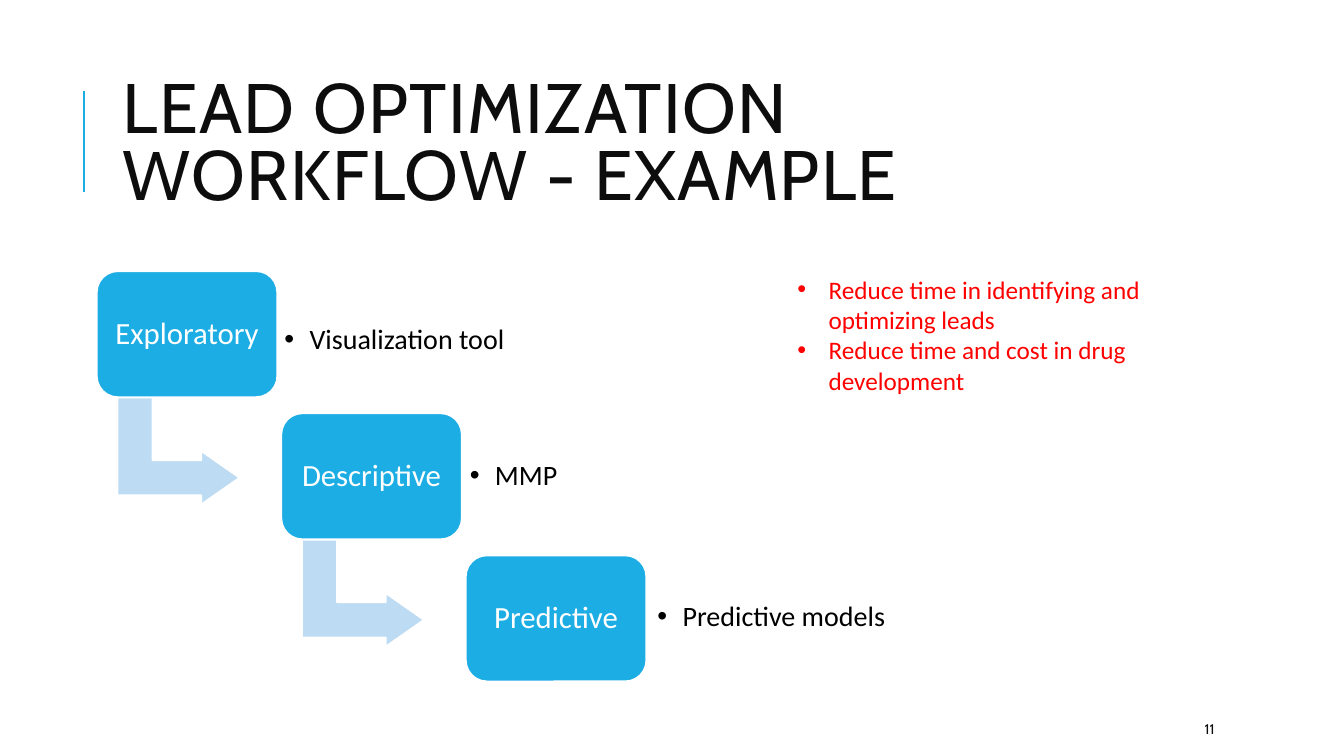
from dataclasses import dataclass

from lxml.etree import SubElement
from pptx import Presentation
from pptx.dml.color import RGBColor
from pptx.enum.shapes import MSO_CONNECTOR, MSO_SHAPE
from pptx.enum.text import MSO_ANCHOR, PP_ALIGN
from pptx.oxml.ns import qn
from pptx.util import Inches, Pt


@dataclass(frozen=True)
class Theme:
    head: str = "Cabin"
    body: str = "Calibri"
    blue: str = "1CADE4"
    pale: str = "BDDBF2"
    white: str = "FFFFFF"
    black: str = "000000"
    ink: str = "0D0D0D"
    red: str = "FF0000"
    title: int = 50
    step: int = 22
    note: int = 20
    goal: int = 18
    page: int = 10


THEME = Theme()

STEPS = [
    # label, note, note box relative to its step: left, top, width, height
    ("Exploratory", "Visualization tool", (1.78, 0.34, 2.76, 0.69)),
    ("Descriptive", "MMP", (1.79, 0.12, 1.3, 1.01)),
    ("Predictive", "Predictive models", (1.82, 0.26, 2.61, 0.71)),
]
GOALS = [
    "Reduce time in identifying and optimizing leads",
    "Reduce time and cost in drug development",
]


def color(code):
    return RGBColor.from_string(code)


def write(shape, lines, font, size, ink, space=1.0, inset=(0.1, 0.05),
          anchor=MSO_ANCHOR.MIDDLE, align=PP_ALIGN.LEFT, indent=0):
    """Fill a shape with paragraphs; a positive indent makes them bullets."""
    frame = shape.text_frame
    frame.word_wrap = True
    frame.vertical_anchor = anchor
    frame.margin_left = frame.margin_right = Inches(inset[0])
    frame.margin_top = frame.margin_bottom = Inches(inset[1])
    frame.text = "\n".join(lines)
    for para in frame.paragraphs:
        para.alignment = align
        para.line_spacing = space
        for run in para.runs:
            run.font.name = font
            run.font.size = Pt(size)
            run.font.color.rgb = color(ink)
        if indent:
            add_bullet(para, indent)


def add_bullet(para, indent):
    props = para._p.get_or_add_pPr()
    props.set("marL", str(Inches(indent)))
    props.set("indent", str(-Inches(indent)))
    SubElement(props, qn("a:buFont")).set("typeface", "Arial")
    SubElement(props, qn("a:buChar")).set("char", "•")


def add_text(slide, box, lines, *style, **more):
    shape = slide.shapes.add_textbox(*map(Inches, box))
    write(shape, lines, *style, **more)
    return shape


def add_block(slide, kind, box, fill, adjust):
    shape = slide.shapes.add_shape(kind, *map(Inches, box))
    shape.shadow.inherit = False
    shape.fill.solid()
    shape.fill.fore_color.rgb = color(fill)
    shape.line.color.rgb = color(THEME.white)
    shape.line.width = Pt(1.25)
    for index, value in enumerate(adjust):
        shape.adjustments[index] = value
    return shape


def add_title(slide, box):
    left, top, width, height = box
    x = Inches(left - 0.29)
    rule = slide.shapes.add_connector(
        MSO_CONNECTOR.STRAIGHT, x, Inches(top + 1.26), x, Inches(top + 0.26))
    rule.line.color.rgb = color(THEME.blue)
    rule.line.width = Pt(1.5)
    SubElement(rule._element.spPr, qn("a:effectLst"))
    shape = add_text(slide, box, ["LEAD OPTIMIZATION WORKFLOW - EXAMPLE"],
                     THEME.head, THEME.title, THEME.ink, space=0.8)
    for run in shape.text_frame.paragraphs[0].runs:
        run._r.get_or_add_rPr().set("spc", "100")


def add_step(slide, box, label, note, place, arrow):
    """Draw one step with its note and, if wanted, the arrow to the next."""
    left, top, width, height = box
    if arrow:
        bend = add_block(slide, MSO_SHAPE.BENT_UP_ARROW,
                         (left + 0.28, top + 1.18, 1.06, 1.21),
                         THEME.pale, (0.328, 0.25, 0.358))
        bend.rotation = 90
    card = add_block(slide, MSO_SHAPE.ROUNDED_RECTANGLE, box,
                     THEME.blue, (0.167,))
    write(card, [label], THEME.body, THEME.step, THEME.white, space=0.9,
          inset=(0.09, 0.09), align=PP_ALIGN.CENTER)
    x, y, wide, high = place
    add_text(slide, (left + x, top + y, wide, high), [note],
             THEME.body, THEME.note, THEME.black, space=0.9,
             inset=(0.08, 0.08), indent=0.25)


def add_flow(slide, box):
    """Set the steps on a falling diagonal from corner to corner of the box."""
    left, top, width, height = box
    wide, high = 1.79, 1.25
    last = len(STEPS) - 1
    for index, (label, note, place) in enumerate(STEPS):
        spot = (left + index * (width - wide) / last,
                top + index * (height - high) / last, wide, high)
        add_step(slide, spot, label, note, place, arrow=index < last)


def add_goals(slide, box):
    add_text(slide, box, GOALS, THEME.body, THEME.goal, THEME.red,
             anchor=MSO_ANCHOR.TOP, indent=0.31)


def add_page(slide, box):
    add_text(slide, box, ["11"], THEME.head, THEME.page, THEME.ink)


def main():
    deck = Presentation()
    deck.slide_width = Inches(13.33)
    deck.slide_height = Inches(7.5)
    slide = deck.slides.add_slide(deck.slide_layouts[6])
    add_title(slide, (1.12, 0.64, 10.63, 1.64))
    add_flow(slide, (0.96, 2.69, 5.45, 4.07))
    add_page(slide, (11.85, 7.08, 1.06, 0.3))
    add_goals(slide, (7.81, 2.67, 4.55, 1.31))
    deck.save("out.pptx")


if __name__ == "__main__":
    main()
